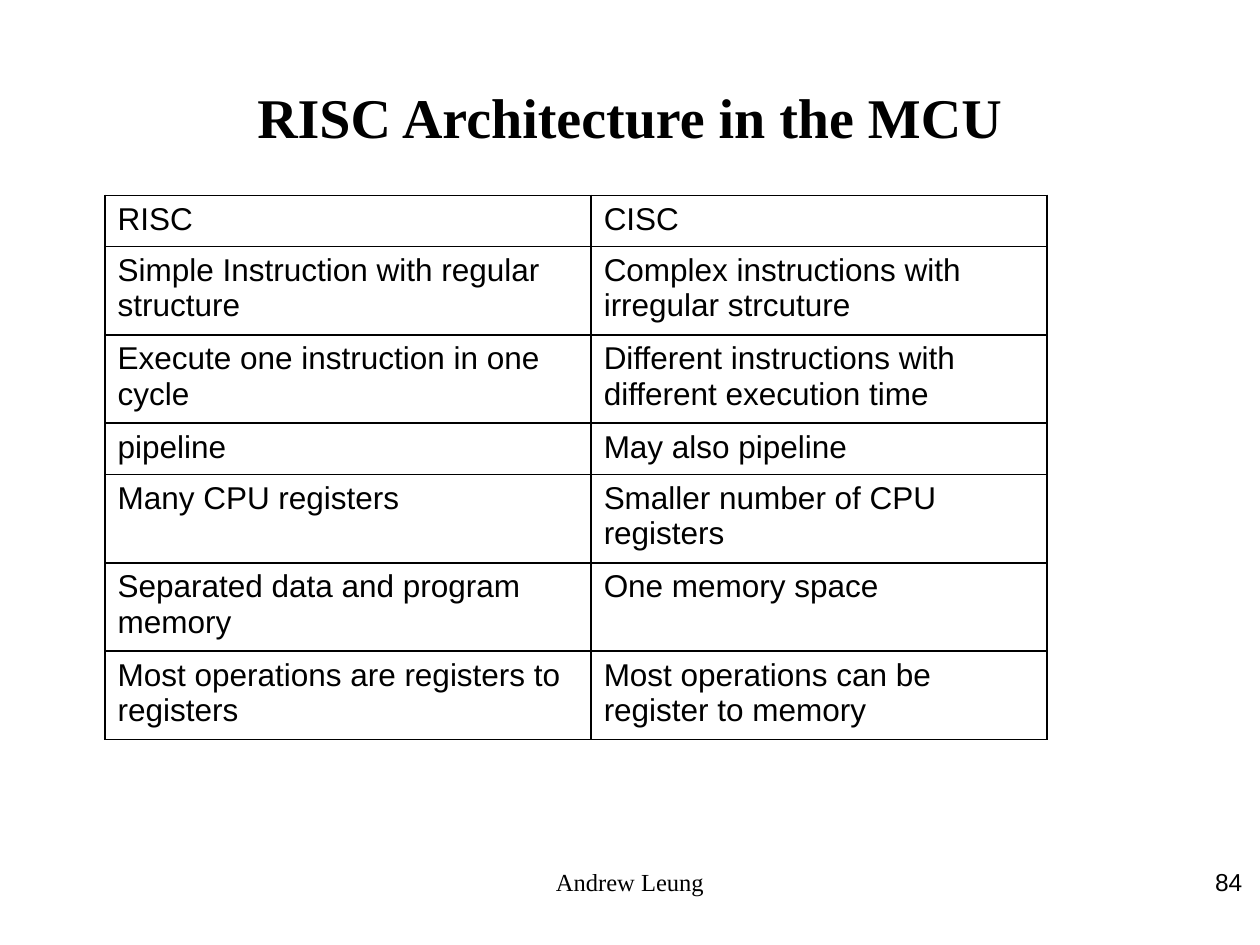
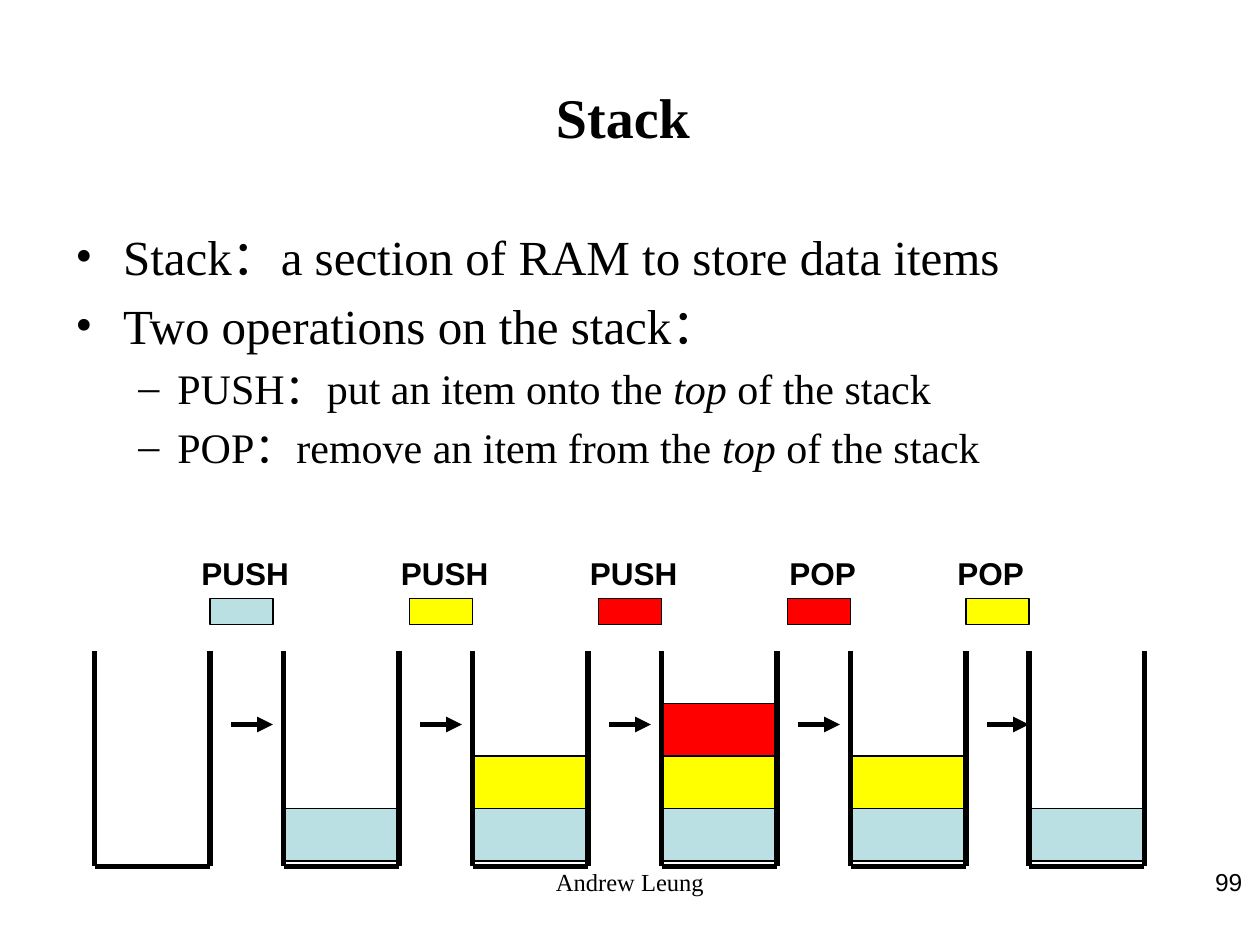
from lxml.etree import SubElement
from pptx import Presentation
from pptx.dml.color import RGBColor
from pptx.enum.shapes import MSO_CONNECTOR, MSO_SHAPE
from pptx.enum.text import MSO_ANCHOR, PP_ALIGN
from pptx.oxml.ns import qn
from pptx.util import Emu, Inches, Pt

UNIT = Inches(1) / 12
COLS, ROWS = 120, 90

BLACK = RGBColor(0x00, 0x00, 0x00)
WHITE = RGBColor(0xFF, 0xFF, 0xFF)
BLUE = RGBColor(0xBB, 0xE0, 0xE3)
GOLD = RGBColor(0xFF, 0xFF, 0x00)
RED = RGBColor(0xFF, 0x00, 0x00)

SERIF, SANS = "Times New Roman", "Arial"
TITLE = dict(name=SERIF, size=Pt(32), bold=True)
FOOT = dict(name=SERIF, size=Pt(14))
PAGE = dict(name=SANS, size=Pt(14))
CELL = dict(name=SANS, size=Pt(18), bold=False)
LABEL = dict(name=SANS, size=Pt(18), bold=True)
LEVELS = [
    dict(size=28, mark="•", left=0.38, hang=-0.38),
    dict(size=24, mark="–", left=0.81, hang=-0.31),
]

PAIRS = [
    ("RISC", "CISC"),
    ("Simple Instruction with regular structure",
     "Complex instructions with irregular strcuture"),
    ("Execute one instruction in one cycle",
     "Different instructions with different execution time"),
    ("pipeline", "May also pipeline"),
    ("Many CPU registers", "Smaller number of CPU registers"),
    ("Separated data and program memory", "One memory space"),
    ("Most operations are registers to registers",
     "Most operations can be register to memory"),
]
SHORT, TALL = 4.9, 8.4
HEIGHTS = [SHORT, TALL, TALL, SHORT, SHORT, TALL, TALL]

POINTS = [
    (0, ["Stack：a section of RAM to store data items"]),
    (0, ["Two operations on the stack："]),
    (1, ["PUSH：put an item onto the ", "top", " of the stack"]),
    (1, ["POP：remove an item from the ", "top", " of the stack"]),
]

JAR_WIDE, JAR_TOP, JAR_BASE = 11, 62, 82.5
BLOCK_TALL, BLOCK_BASE = 5, 82
JARS = [
    (9, []),
    (27, [BLUE]),
    (45, [BLUE, GOLD]),
    (63, [BLUE, GOLD, RED]),
    (81, [BLUE, GOLD]),
    (98, [BLUE]),
]
STEPS = [
    ("PUSH", 18, 20, BLUE),
    ("PUSH", 37, 39, GOLD),
    ("PUSH", 55, 57, RED),
    ("POP", 74, 75, RED),
    ("POP", 90, 92, GOLD),
]


def grid(*units):
    return [Emu(round(unit * UNIT)) for unit in units]


def style(font, form):
    for key, value in form.items():
        setattr(font, key, value)
    font.color.rgb = BLACK


def add_text(slide, text, place, form, align=PP_ALIGN.LEFT,
             anchor=MSO_ANCHOR.TOP):
    frame = slide.shapes.add_textbox(*grid(*place)).text_frame
    frame.word_wrap = True
    frame.vertical_anchor = anchor
    para = frame.paragraphs[0]
    para.alignment = align
    run = para.add_run()
    run.text = text
    style(run.font, form)


def add_page(deck, title, number):
    slide = deck.slides.add_slide(deck.slide_layouts[6])
    add_text(slide, title, (6, 3.6, 108, 15), TITLE, PP_ALIGN.CENTER,
             MSO_ANCHOR.MIDDLE)
    add_text(slide, "Andrew Leung", (41, 82, 38, 6.2), FOOT,
             PP_ALIGN.CENTER)
    add_text(slide, str(number), (91.5, 82, 28, 6.2), PAGE,
             PP_ALIGN.RIGHT)
    return slide


def add_edges(cell):
    props = cell._tc.get_or_add_tcPr()
    for spot, side in enumerate(("lnL", "lnR", "lnT", "lnB")):
        line = props.makeelement(qn(f"a:{side}"), {"w": str(Pt(1))})
        fill = SubElement(line, qn("a:solidFill"))
        SubElement(fill, qn("a:srgbClr"), val=str(BLACK))
        props.insert(spot, line)


def add_grid(slide, pairs, place, widths, heights):
    size = sum(widths), sum(heights)
    table = slide.shapes.add_table(
        len(pairs), len(widths), *grid(*place, *size)).table
    table.first_row = table.horz_banding = False
    for col, wide in zip(table.columns, grid(*widths)):
        col.width = wide
    for row, tall, texts in zip(table.rows, grid(*heights), pairs):
        row.height = tall
        for cell, text in zip(row.cells, texts):
            cell.fill.solid()
            cell.fill.fore_color.rgb = WHITE
            add_edges(cell)
            run = cell.text_frame.paragraphs[0].add_run()
            run.text = text
            style(run.font, CELL)


def set_mark(para, level):
    props = para._p.get_or_add_pPr()
    props.set("marL", str(Inches(level["left"])))
    props.set("indent", str(Inches(level["hang"])))
    space = SubElement(props, qn("a:spcBef"))
    SubElement(space, qn("a:spcPct"), val="20000")
    SubElement(props, qn("a:buFont"), typeface=SERIF)
    SubElement(props, qn("a:buChar"), char=level["mark"])


def add_list(slide, points, place):
    frame = slide.shapes.add_textbox(*grid(*place)).text_frame
    frame.word_wrap = True
    for spot, (depth, parts) in enumerate(points):
        para = frame.add_paragraph() if spot else frame.paragraphs[0]
        para.level = depth
        level = LEVELS[depth]
        set_mark(para, level)
        for part in parts:
            run = para.add_run()
            run.text = part
            style(run.font, dict(name=SERIF, size=Pt(level["size"]),
                                 italic=part == "top"))


def add_block(slide, place, color):
    block = slide.shapes.add_shape(MSO_SHAPE.RECTANGLE, *grid(*place))
    block.shadow.inherit = False
    block.fill.solid()
    block.fill.fore_color.rgb = color
    block.line.color.rgb = BLACK
    block.line.width = Pt(0.75)


def add_line(shapes, ends, arrow=False):
    line = shapes.add_connector(MSO_CONNECTOR.STRAIGHT, *grid(*ends))
    line.line.color.rgb = BLACK
    line.line.width = Pt(3)
    if arrow:
        SubElement(line.line._get_or_add_ln(), qn("a:tailEnd"),
                   type="triangle")
    SubElement(line._element.spPr, qn("a:effectLst"))


def add_jar(slide, left, items):
    right = left + JAR_WIDE
    for level, color in enumerate(items, 1):
        top = BLOCK_BASE - level * BLOCK_TALL
        add_block(slide, (left, top, JAR_WIDE, BLOCK_TALL), color)
    shapes = slide.shapes.add_group_shape().shapes
    add_line(shapes, (left, JAR_TOP, left, JAR_BASE))
    add_line(shapes, (left, JAR_BASE, right, JAR_BASE))
    add_line(shapes, (right, JAR_TOP, right, JAR_BASE))


def add_step(slide, spot, text, left, chip, color):
    add_text(slide, text, (left, 52.2, 12, 4.8), LABEL)
    add_block(slide, (chip, 57, 6, 2.5), color)
    start = 22 + 18 * spot
    add_line(slide.shapes, (start, 69, start + 4, 69), arrow=True)


def main():
    deck = Presentation()
    deck.slide_width, deck.slide_height = grid(COLS, ROWS)

    risc = add_page(deck, "RISC Architecture in the MCU", 84)
    add_grid(risc, PAIRS, (10, 18.6), (46.3, 43.4), HEIGHTS)

    stack = add_page(deck, "Stack ", 99)
    add_list(stack, POINTS, (6, 21, 108, 59.4))
    for left, items in JARS:
        add_jar(stack, left, items)
    for spot, step in enumerate(STEPS):
        add_step(stack, spot, *step)

    deck.save("out.pptx")


if __name__ == "__main__":
    main()
